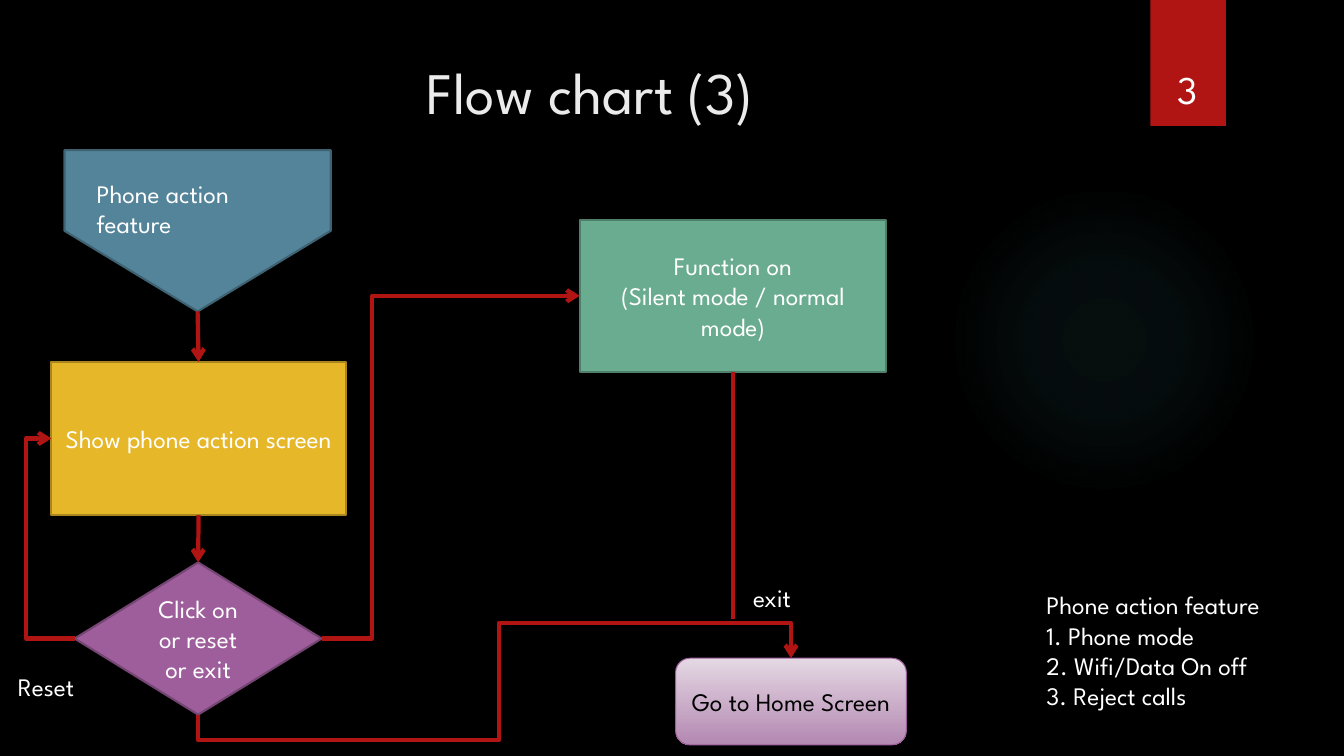
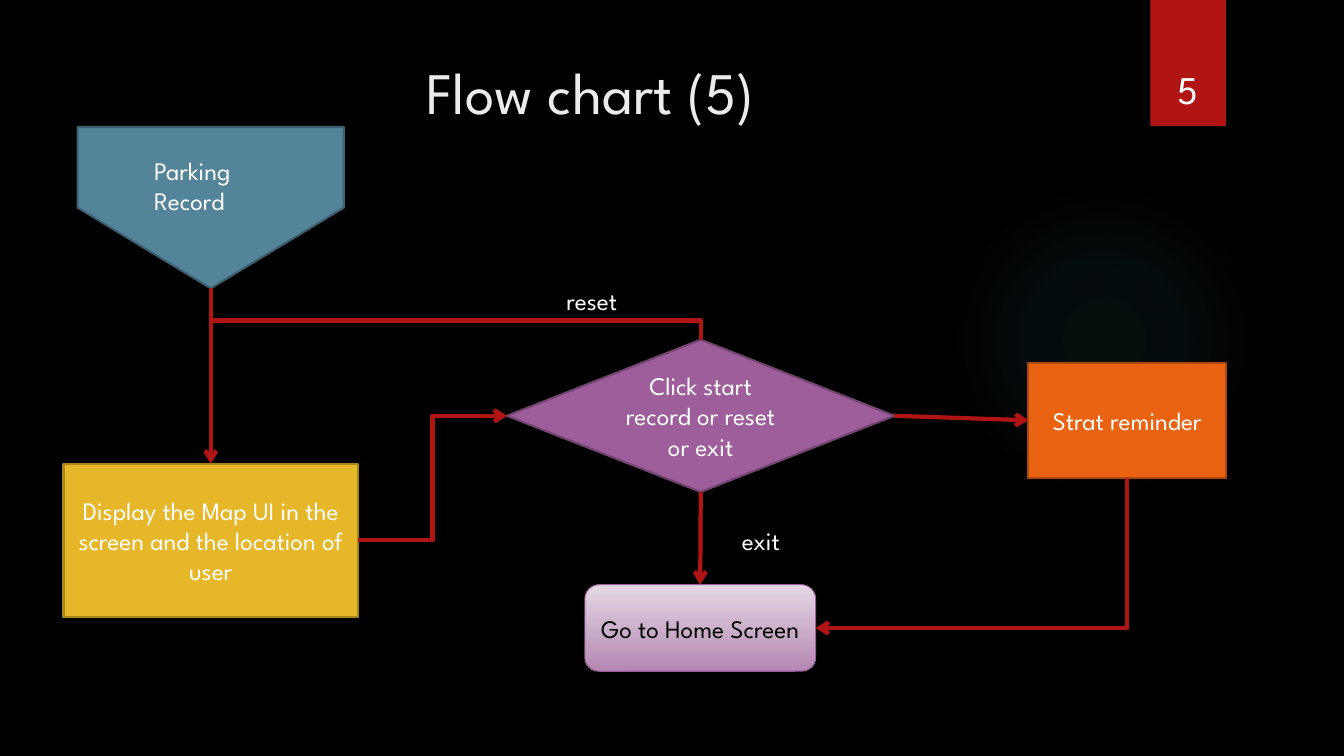
from dataclasses import dataclass
from typing import Any, Optional, Union

import pptx
import pptx.util
import pptx.dml.color
import pptx.enum.dml
import pptx.enum.shapes
import pptx.enum.text
import pptx.oxml
import pptx.oxml.ns
import pptx.oxml.xmlchemy

Inches = pptx.util.Inches
Pt = pptx.util.Pt
RGBColor = pptx.dml.color.RGBColor
Shape = pptx.enum.shapes.MSO_SHAPE
Connector = pptx.enum.shapes.MSO_CONNECTOR
Align = pptx.enum.text.PP_ALIGN
Anchor = pptx.enum.text.MSO_ANCHOR
AutoSize = pptx.enum.text.MSO_AUTO_SIZE
qn = pptx.oxml.ns.qn
OxmlElement = pptx.oxml.xmlchemy.OxmlElement

# Shared look
BLACK = RGBColor(0x00, 0x00, 0x00)
WHITE = RGBColor(0xFF, 0xFF, 0xFF)
TITLE_GREY = RGBColor(0xEB, 0xEB, 0xEB)
RED = RGBColor(0xB0, 0x15, 0x13)
BLUE = RGBColor(0x54, 0x84, 0x9A)
BLUE_EDGE = RGBColor(0x3E, 0x62, 0x72)
YELLOW = RGBColor(0xE6, 0xB7, 0x29)
YELLOW_EDGE = RGBColor(0xAA, 0x87, 0x1E)
PURPLE = RGBColor(0x9E, 0x5E, 0x9B)
PURPLE_EDGE = RGBColor(0x75, 0x46, 0x73)
GREEN = RGBColor(0x6A, 0xAC, 0x90)
GREEN_EDGE = RGBColor(0x4E, 0x7F, 0x6B)
ORANGE = RGBColor(0xEA, 0x63, 0x12)
ORANGE_EDGE = RGBColor(0xAD, 0x49, 0x0D)
LILAC_TOP = RGBColor(0xE4, 0xD8, 0xE3)
LILAC_BOTTOM = RGBColor(0xB4, 0x88, 0xB2)
GLOW = RGBColor(0x50, 0xB9, 0xC1)
GLOW_STOPS = ((0, 7), (36, 6), (69, 0))  # position and opacity in percent

FONT_NAME = "League Spartan"
BODY_FONT = {"name": FONT_NAME, "size": Pt(18)}
NUMBER_FONT = {"name": FONT_NAME, "size": Pt(28)}
TITLE_FONT = {"name": FONT_NAME, "size": Pt(42), "bold": False}
BOX_FRAME = {"word_wrap": True, "vertical_anchor": Anchor.MIDDLE}
LABEL_FRAME = {"word_wrap": False, "auto_size": AutoSize.SHAPE_TO_FIT_TEXT}
CAPTION_FRAME = {"word_wrap": True, "auto_size": AutoSize.SHAPE_TO_FIT_TEXT}
NUMBER_FRAME = {"word_wrap": True, "vertical_anchor": Anchor.BOTTOM}
TITLE_FRAME = {"word_wrap": True, "vertical_anchor": Anchor.TOP, "auto_size": AutoSize.NONE}

TOP, LEFT, BOTTOM, RIGHT = range(4)
Point = tuple[float, float]
Area = tuple[float, float, float, float]


@dataclass(frozen=True)
class Style:
    preset: Any
    fill: Optional[RGBColor]  # None means the lilac gradient
    edge: RGBColor
    edge_width: float = 1.5
    text: RGBColor = WHITE


SCREEN = Style(Shape.RECTANGLE, YELLOW, YELLOW_EDGE)
FUNCTION = Style(Shape.RECTANGLE, GREEN, GREEN_EDGE)
REMINDER = Style(Shape.RECTANGLE, ORANGE, ORANGE_EDGE)
DECISION = Style(Shape.FLOWCHART_DECISION, PURPLE, PURPLE_EDGE)
HOME = Style(Shape.ROUNDED_RECTANGLE, None, PURPLE, 0.75, BLACK)
START = Style(Shape.PENTAGON, BLUE, BLUE_EDGE)


@dataclass(frozen=True)
class Box:
    name: str
    style: Style
    area: Area
    lines: tuple[str, ...]


@dataclass(frozen=True)
class Joint:
    box: str
    side: int


@dataclass(frozen=True)
class Link:
    start: Union[Joint, Point]
    end: Union[Joint, Point]
    bent: bool = False
    turns: tuple[float, ...] = ()  # where each inner segment lies, in inches
    vertical_first: bool = False
    arrow: bool = True


@dataclass(frozen=True)
class Label:
    area: Area
    lines: tuple[str, ...]


@dataclass(frozen=True)
class Chart:
    number: int
    start_area: Area
    start_label: Label
    boxes: tuple[Box, ...]
    links: tuple[Link, ...]
    labels: tuple[Label, ...]


CHARTS = (
    Chart(
        number=3,
        start_area=(1.16, 0.97, 1.6, 2.64),
        start_label=Label((0.86, 1.72, 2.23, 0.71), ("Phone action", "feature")),
        boxes=(
            Box("screen", SCREEN, (0.51, 3.59, 2.92, 1.52), ("Show phone action screen",)),
            Box("choice", DECISION, (0.74, 5.58, 2.45, 1.51), ("Click on or reset or exit",)),
            Box("function", FUNCTION, (5.75, 2.18, 3.04, 1.51),
                ("Function on", "(Silent mode / normal mode)")),
            Box("home", HOME, (6.7, 6.53, 2.29, 0.86), ("Go to Home Screen",)),
        ),
        links=(
            Link((1.96, 3.09), Joint("screen", TOP)),
            Link(Joint("screen", BOTTOM), Joint("choice", TOP)),
            Link(Joint("choice", RIGHT), Joint("function", LEFT), True, (3.69,)),
            Link(Joint("choice", BOTTOM), Joint("home", TOP), True, (7.34, 4.95, 6.18), True),
            Link(Joint("choice", LEFT), Joint("screen", LEFT), True, (0.26,)),
            Link(Joint("function", BOTTOM), (7.27, 6.14), arrow=False),
        ),
        labels=(
            Label((10.28, 5.8, 2.82, 1.31),
                  ("Phone action feature", "1. Phone mode", "2. Wifi/Data On off",
                   "3. Reject calls")),
            Label((0.08, 6.61, 0.87, 0.4), ("Reset",)),
            Label((7.37, 5.73, 0.62, 0.4), ("exit",)),
        ),
    ),
    Chart(
        number=5,
        start_area=(1.29, 0.74, 1.6, 2.64),
        start_label=Label((1.43, 1.49, 1.63, 0.71), ("Parking Record",)),
        boxes=(
            Box("map", SCREEN, (0.63, 4.6, 2.92, 1.52),
                ("Display the Map UI in the screen and the location of user",)),
            Box("choice", DECISION, (5.03, 3.37, 3.84, 1.51),
                ("Click start record or reset or exit",)),
            Box("home", HOME, (5.8, 5.8, 2.29, 0.86), ("Go to Home Screen",)),
            Box("reminder", REMINDER, (10.2, 3.6, 1.96, 1.14), ("Strat reminder",)),
        ),
        links=(
            Link((2.09, 2.86), Joint("map", TOP)),
            Link(Joint("choice", BOTTOM), Joint("home", TOP)),
            Link(Joint("choice", RIGHT), Joint("reminder", LEFT)),
            Link(Joint("reminder", BOTTOM), Joint("home", RIGHT), True, vertical_first=True),
            Link(Joint("map", RIGHT), Joint("choice", LEFT), True, (4.29,)),
            Link((2.09, 3.18), Joint("choice", TOP), True, arrow=False),
        ),
        labels=(
            Label((7.26, 5.16, 0.62, 0.4), ("exit",)),
            Label((5.52, 2.78, 0.79, 0.4), ("reset",)),
        ),
    ),
)


def inches(values: tuple[float, ...]) -> list[int]:
    return [Inches(value) for value in values]


def set_format(target: Any, values: dict[str, Any]) -> None:
    for name, value in values.items():
        setattr(target, name, value)


def write_text(shape: Any, lines: tuple[str, ...], frame: dict[str, Any],
               font: dict[str, Any], color: RGBColor, align: Any = Align.LEFT) -> None:
    text_frame = shape.text_frame
    set_format(text_frame, frame)
    for index, line in enumerate(lines):
        para = text_frame.add_paragraph() if index else text_frame.paragraphs[0]
        para.alignment = align
        span = para.add_run()
        span.text = line
        set_format(span.font, font)
        span.font.color.rgb = color


def add_styled_shape(shapes: Any, style: Style, area: Area) -> Any:
    shape = shapes.add_shape(style.preset, *inches(area))
    shape.shadow.inherit = False
    if style.fill is None:
        shape.fill.gradient()
        shape.fill.gradient_angle = 270
        for stop, color in zip(shape.fill.gradient_stops, (LILAC_TOP, LILAC_BOTTOM)):
            stop.color.rgb = color
    else:
        shape.fill.solid()
        shape.fill.fore_color.rgb = style.fill
    shape.line.color.rgb = style.edge
    shape.line.width = Pt(style.edge_width)
    return shape


def add_label(shapes: Any, label: Label, frame: dict[str, Any]) -> None:
    box = shapes.add_textbox(*inches(label.area))
    write_text(box, label.lines, frame, BODY_FONT, WHITE)


def find_point(end: Union[Joint, Point], areas: dict[str, Area]) -> Point:
    if not isinstance(end, Joint):
        return end
    left, top, width, height = areas[end.box]
    across, down = ((0.5, 0), (0, 0.5), (0.5, 1), (1, 0.5))[end.side]
    return left + across * width, top + down * height


def bend(line: Any, link: Link, start: Point, end: Point) -> None:
    """Choose the elbow preset and place its inner segments."""
    geometry = line.element.spPr.find(qn("a:prstGeom"))
    geometry.set("prst", f"bentConnector{len(link.turns) + 2}")
    guides = geometry.find(qn("a:avLst"))
    if guides is None:
        guides = OxmlElement("a:avLst")
        geometry.append(guides)
    for index, turn in enumerate(link.turns):
        axis = (index + link.vertical_first) % 2
        ratio = (turn - start[axis]) / (end[axis] - start[axis])
        guide = OxmlElement("a:gd")
        guide.set("name", f"adj{index + 1}")
        guide.set("fmla", f"val {round(ratio * 100000)}")
        guides.append(guide)


def add_link(page: Any, link: Link, placed: dict[str, Any], areas: dict[str, Area]) -> None:
    start, end = find_point(link.start, areas), find_point(link.end, areas)
    first, last = start, end
    if link.vertical_first:  # the same route before a quarter turn about its centre
        middle_x, middle_y = (start[0] + end[0]) / 2, (start[1] + end[1]) / 2
        half_x, half_y = (end[1] - start[1]) / 2, (start[0] - end[0]) / 2
        first = (middle_x - half_x, middle_y - half_y)
        last = (middle_x + half_x, middle_y + half_y)
    kind = Connector.ELBOW if link.bent else Connector.STRAIGHT
    line = page.shapes.add_connector(kind, *inches(first + last))
    properties = line.element.spPr
    if link.bent:
        bend(line, link, start, end)
        if link.vertical_first:
            properties.find(qn("a:xfrm")).set("rot", "5400000")
    else:
        for joint, connect in ((link.start, line.begin_connect), (link.end, line.end_connect)):
            if isinstance(joint, Joint):
                connect(placed[joint.box], joint.side)
    line.line.color.rgb = RED
    line.line.width = Pt(3)
    if link.arrow:
        arrowhead = OxmlElement("a:tailEnd")
        arrowhead.set("type", "arrow")
        properties.find(qn("a:ln")).append(arrowhead)
    properties.append(OxmlElement("a:effectLst"))


def glow_fill() -> Any:
    stops = "".join(
        f'<a:gs pos="{position * 1000}"><a:srgbClr val="{GLOW}">'
        f'<a:alpha val="{opacity * 1000}"/></a:srgbClr></a:gs>'
        for position, opacity in GLOW_STOPS)
    return pptx.oxml.parse_xml(
        f'<a:gradFill {pptx.oxml.ns.nsdecls("a")}><a:gsLst>{stops}</a:gsLst><a:path path="circle">'
        '<a:fillToRect l="50000" t="50000" r="50000" b="50000"/></a:path></a:gradFill>')


def decorate_layout(layout: Any, page: Any) -> None:
    """Move the glow and the number ribbon, drawn on a page, behind its layout."""
    layout.background.fill.solid()
    layout.background.fill.fore_color.rgb = BLACK
    glow = page.shapes.add_shape(Shape.OVAL, *inches((9.41, 1.83, 3.08, 3.08)))
    glow.element.spPr.find(qn("a:prstGeom")).addnext(glow_fill())
    ribbon = page.shapes.add_shape(Shape.RECTANGLE, *inches((11.41, 0, 0.75, 1.25)))
    ribbon.fill.solid()
    ribbon.fill.fore_color.rgb = RED
    for index, shape in enumerate((glow, ribbon)):
        shape.line.fill.background()
        shape.shadow.inherit = False
        layout.shapes.element.insert(2 + index, shape.element)


def draw_chart(page: Any, chart: Chart) -> None:
    # Title and page number
    title = page.shapes.title
    title.left, title.top, title.width, title.height = inches((0.71, 0.5, 10.29, 1.53))
    write_text(title, (f"Flow chart ({chart.number})",), TITLE_FRAME, TITLE_FONT,
               TITLE_GREY, Align.CENTER)
    number = page.shapes.add_textbox(*inches((11.32, 0.32, 0.92, 0.84)))
    write_text(number, (str(chart.number),), NUMBER_FRAME, NUMBER_FONT, WHITE, Align.CENTER)
    # Starting point with its caption
    group = page.shapes.add_group_shape()
    add_styled_shape(group.shapes, START, chart.start_area).rotation = 90
    add_label(group.shapes, chart.start_label, CAPTION_FRAME)
    # Steps, links and labels
    placed, areas = {}, {box.name: box.area for box in chart.boxes}
    for box in chart.boxes:
        placed[box.name] = add_styled_shape(page.shapes, box.style, box.area)
        write_text(placed[box.name], box.lines, BOX_FRAME, BODY_FONT, box.style.text, Align.CENTER)
    for link in chart.links:
        add_link(page, link, placed, areas)
    for label in chart.labels:
        add_label(page.shapes, label, LABEL_FRAME)


def main() -> None:
    deck = pptx.Presentation()
    deck.slide_width, deck.slide_height = inches((13.33, 7.5))
    layout = deck.slide_layouts.get_by_name("Title Only")
    pages = [deck.slides.add_slide(layout) for _ in CHARTS]
    decorate_layout(layout, pages[0])
    for page, chart in zip(pages, CHARTS):
        draw_chart(page, chart)
    deck.save("out.pptx")


if __name__ == "__main__":
    main()
